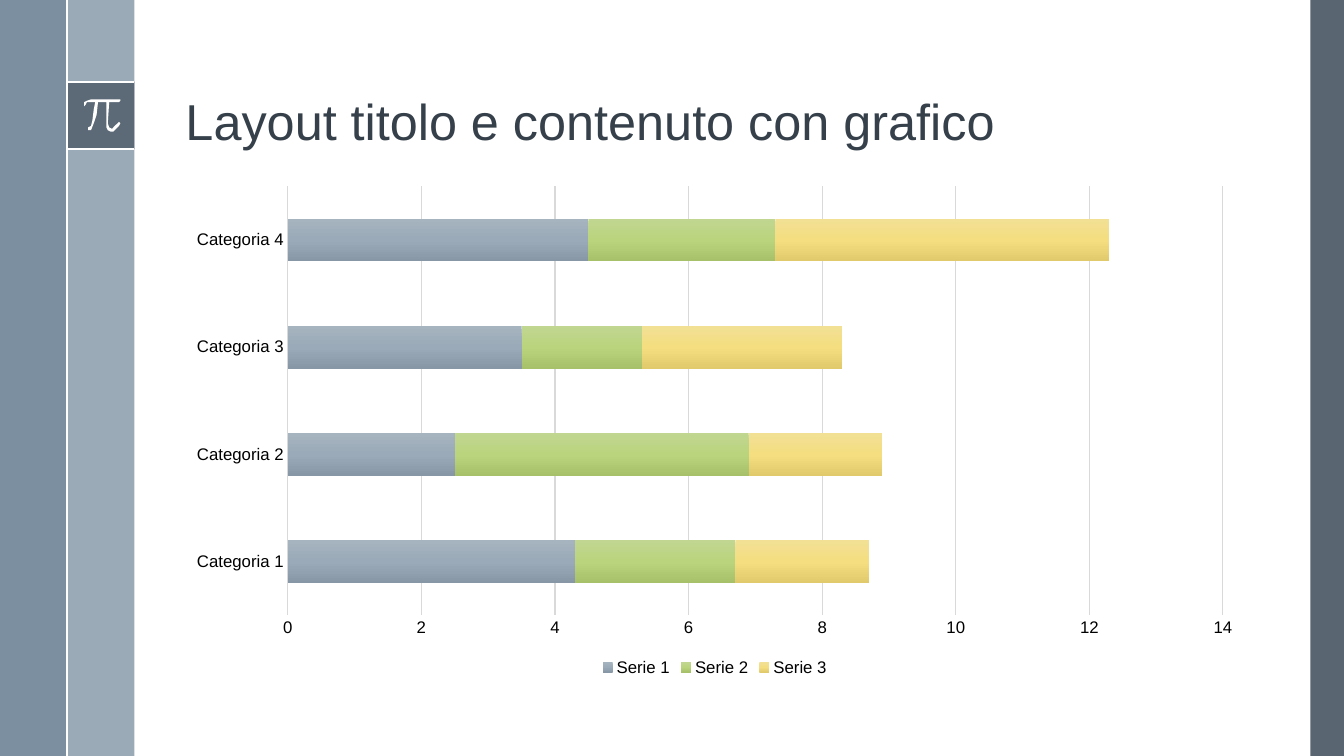
from copy import deepcopy

from pptx import Presentation
from pptx.chart.data import CategoryChartData
from pptx.dml.color import RGBColor
from pptx.enum.chart import XL_CHART_TYPE, XL_LEGEND_POSITION, XL_TICK_MARK
from pptx.enum.shapes import MSO_CONNECTOR, MSO_SHAPE
from pptx.enum.text import MSO_ANCHOR, MSO_AUTO_SIZE, PP_ALIGN
from pptx.oxml.ns import qn
from pptx.util import Pt
from lxml import etree

RECT = MSO_SHAPE.RECTANGLE
STRAIGHT = MSO_CONNECTOR.STRAIGHT
STACKED = XL_CHART_TYPE.BAR_STACKED
BOTTOM = XL_LEGEND_POSITION.BOTTOM
NO_TICK = XL_TICK_MARK.NONE

FONT = "Arial"
WHITE = RGBColor(0xFF, 0xFF, 0xFF)
BLACK = RGBColor(0, 0, 0)
SLATE = RGBColor(0x47, 0x55, 0x62)
STEEL = RGBColor(0x6A, 0x80, 0x93)
MIST = RGBColor(0x9B, 0xAA, 0xB7)
TITLE = RGBColor(0x35, 0x40, 0x4A)
GRID = RGBColor(0xD9, 0xD9, 0xD9)
BLUES = [RGBColor(0xA6, 0xB4, 0xBF), RGBColor(0x9A, 0xAA, 0xB8), RGBColor(0x87, 0x97, 0xA6)]
GREENS = [RGBColor(0xC0, 0xD6, 0x91), RGBColor(0xBA, 0xD4, 0x7E), RGBColor(0xA7, 0xC1, 0x6B)]
YELLOWS = [RGBColor(0xF2, 0xE0, 0x95), RGBColor(0xF4, 0xDE, 0x80), RGBColor(0xE0, 0xCA, 0x6B)]

BAND = 48
BADGE_TOP = 58.3
CATEGORIES = [f"Categoria {n}" for n in range(1, 5)]
SERIES = [
    ("Serie 1", (4.3, 2.5, 3.5, 4.5), BLUES),
    ("Serie 2", (2.4, 4.4, 1.8, 2.8), GREENS),
    ("Serie 3", (2, 2, 3, 5), YELLOWS),
]
PI_OUTLINE = [
    (85.0, 70.6), (64.8, 70.6), (62.2, 71.5), (60.5, 73.3), (59.8, 74.9),
    (60.5, 75.6), (61.2, 75.4), (62.5, 73.4), (64.8, 72.7), (67.7, 72.7),
    (67.4, 78), (66, 86), (64.8, 89.5), (63.4, 91.4), (63.4, 92.6),
    (64.1, 92.9), (64.8, 92.6), (67, 88.5), (68.6, 82), (69.8, 72.7),
    (76.3, 72.7), (75.6, 87.8), (75.8, 90.7), (77, 92.9), (79.2, 93.6),
    (80.6, 93.6), (83.2, 92.5), (84.9, 90), (85.7, 87.8), (85, 87.1),
    (83.5, 87.8), (82.3, 90.4), (79.9, 92.2), (77.8, 91.4), (77, 87.8),
    (78.5, 72.7), (85, 72.7), (85.7, 72), (85.7, 71.2),
]


def fill_plain(sp, color, opacity=100):
    """Fill a shape with one colour, without line or shadow."""
    sp.shadow.inherit = False
    sp.line.fill.background()
    sp.fill.solid()
    sp.fill.fore_color.rgb = color
    if opacity < 100:
        clr = sp._element.spPr.find(".//" + qn("a:srgbClr"))
        etree.SubElement(clr, qn("a:alpha"), val=str(opacity * 1000))


def add_rect(slide, x, y, w, h, color, opacity=100):
    """Add a plain rectangle."""
    sp = slide.shapes.add_shape(RECT, Pt(x), Pt(y), Pt(w), Pt(h))
    fill_plain(sp, color, opacity)


def add_line(slide, x1, y1, x2, y2):
    """Add a white rule."""
    line = slide.shapes.add_connector(STRAIGHT, Pt(x1), Pt(y1), Pt(x2), Pt(y2))
    line.line.color.rgb = WHITE
    line.line.width = Pt(1.5)
    etree.SubElement(line._element.spPr, qn("a:effectLst"))


def add_pi(slide):
    """Draw the white pi sign on the badge."""
    builder = slide.shapes.build_freeform(*PI_OUTLINE[0], scale=Pt(1))
    builder.add_line_segments(PI_OUTLINE[1:], close=True)
    fill_plain(builder.convert_to_shape(), WHITE)


def set_font(font, size, color):
    """Set typeface, size in points and colour."""
    font.name = FONT
    font.size = Pt(size)
    font.color.rgb = color


def set_title(slide, text, size=36, color=TITLE):
    """Place and format the title."""
    sp = slide.shapes.title
    sp.left, sp.top, sp.width, sp.height = Pt(125.3), Pt(13.7), Pt(770.4), Pt(97.9)
    tf = sp.text_frame
    tf.auto_size = MSO_AUTO_SIZE.NONE
    tf.word_wrap = True
    tf.vertical_anchor = MSO_ANCHOR.BOTTOM
    p = tf.paragraphs[0]
    p.alignment = PP_ALIGN.LEFT
    p.line_spacing = 0.9
    r = p.add_run()
    r.text = text
    set_font(r.font, size, color)


def fill_gradient(series, colors):
    """Fill a series with a three-stop gradient from top to bottom."""
    fill = series.format.fill
    fill.gradient()
    fill.gradient_angle = 270
    stops = series._element.find(".//" + qn("a:gsLst"))
    stops.insert(1, deepcopy(stops[0]))
    for i, (stop, color) in enumerate(zip(fill.gradient_stops, colors)):
        stop.color.rgb = color
        stop.position = i / 2


def style_axis(axis):
    """Format the labels of an axis and hide its ticks."""
    axis.major_tick_mark = axis.minor_tick_mark = NO_TICK
    set_font(axis.tick_labels.font, 12, BLACK)


def style_line(line):
    """Format a thin grey chart line."""
    line.color.rgb = GRID
    line.width = Pt(0.75)


def add_bar_chart(slide):
    """Add the stacked bar chart."""
    data = CategoryChartData()
    data.categories = CATEGORIES
    for name, values, _ in SERIES:
        data.add_series(name, values)
    chart = slide.shapes.add_chart(
        STACKED, Pt(125.3), Pt(126), Pt(770.4), Pt(360), data).chart
    set_font(chart.font, 10, SLATE)
    chart.has_title = False
    chart.has_legend = True
    chart.legend.position = BOTTOM
    chart.legend.include_in_layout = False
    set_font(chart.legend.font, 12, BLACK)
    plot = chart.plots[0]
    plot.gap_width = 150
    plot.overlap = 100
    for series, (_, _, colors) in zip(plot.series, SERIES):
        fill_gradient(series, colors)
    cat, val = chart.category_axis, chart.value_axis
    style_axis(cat)
    style_line(cat.format.line)
    style_axis(val)
    val.format.line.fill.background()
    val.minimum_scale, val.maximum_scale, val.major_unit = 0, 14, 2
    val.has_major_gridlines = True
    style_line(val.major_gridlines.format.line)


def main():
    """Build the slide and save it."""
    prs = Presentation()
    prs.slide_width, prs.slide_height = Pt(960), Pt(540)
    slide = prs.slides.add_slide(prs.slide_layouts[5])
    add_rect(slide, 936, 0, 24, 540, SLATE, 90)
    add_rect(slide, BAND, 0, BAND, 540, MIST)
    add_rect(slide, 0, 0, BAND, 540, STEEL, 88)
    add_rect(slide, BAND, BADGE_TOP, BAND, BAND, SLATE, 75)
    for y in (BADGE_TOP, BADGE_TOP + BAND):
        add_line(slide, BAND, y, 2 * BAND, y)
    add_pi(slide)
    add_line(slide, BAND, 0, BAND, 540)
    set_title(slide, "Layout titolo e contenuto con grafico")
    add_bar_chart(slide)
    prs.save("out.pptx")


main()
